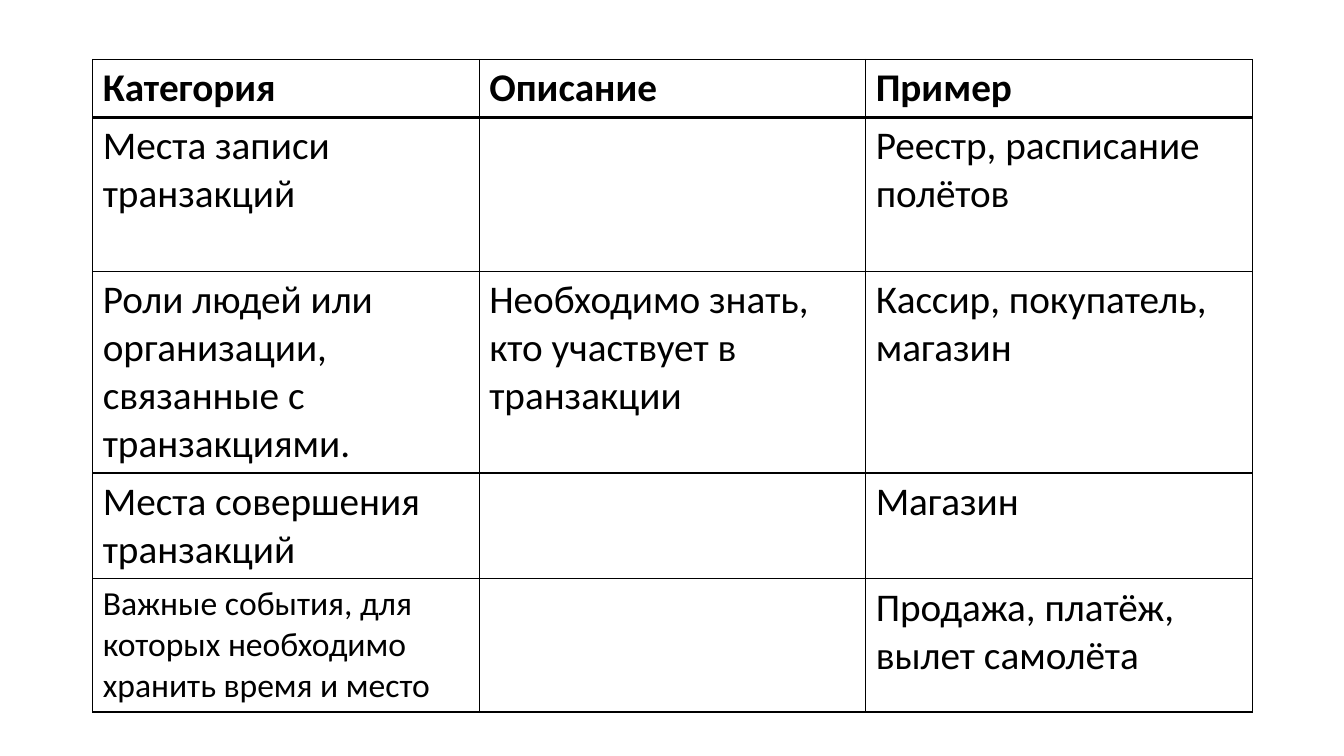
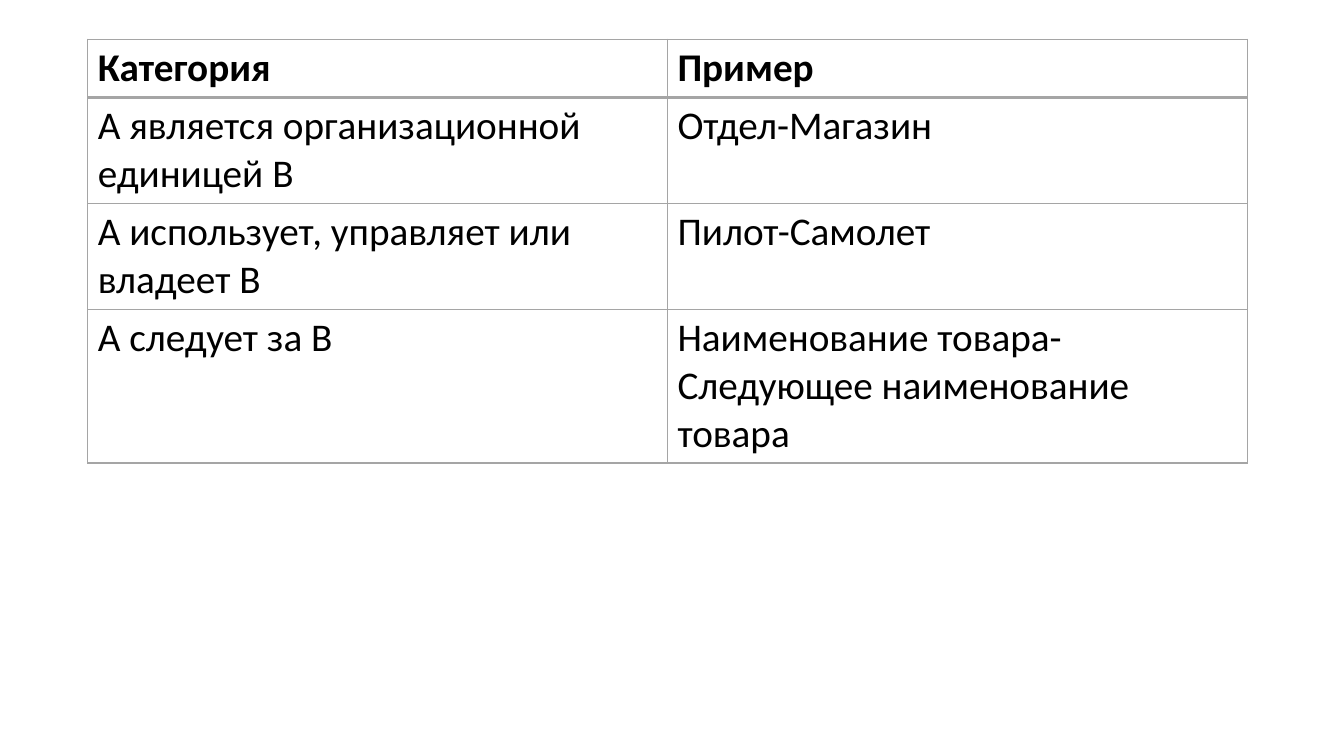
from dataclasses import dataclass

from lxml.etree import SubElement
from pptx import Presentation
from pptx.dml.color import RGBColor as Rgb
from pptx.oxml.ns import qn
from pptx.util import Inches, Pt


@dataclass(frozen=True)
class Theme:
    font: str = "Calibri"
    ink: str = "000000"
    gray: str = "A5A5A5"
    paper: str = "FFFFFF"
    body_size: int = 28
    small_size: int = 24
    thin: int = 1
    thick: int = 2


THEME = Theme()
SLIDE_WIDTH, SLIDE_HEIGHT = 13.33, 7.5
TABLE_WIDTH = 11.5
LINE_HEIGHT, ROW_PADDING = 0.475, 0.1

# Content: each row is (height in text lines, cells); a cell may hold several paragraphs
TABLES = [
    {
        "at": (0.92, 0.59),
        "border": THEME.ink,
        "rows": [
            (1, ["Категория", "Описание", "Пример"]),
            (3, ["Места записи транзакций", "", "Реестр, расписание полётов"]),
            (4, ["Роли людей или организации, связанные с транзакциями.",
                 "Необходимо знать, кто участвует в транзакции",
                 "Кассир, покупатель, магазин"]),
            (2, ["Места совершения транзакций", "", "Магазин"]),
            (2.57, ["Важные события, для которых необходимо хранить время и место",
                    "", "Продажа, платёж, вылет самолёта"]),
        ],
        "small_cells": {(4, 0)},
    },
    {
        "at": (0.87, 0.39),
        "border": THEME.gray,
        "rows": [
            (1, ["Категория", "Пример"]),
            (2, ["А является организационной единицей В", "Отдел-Магазин"]),
            (2, ["А использует, управляет или владеет В", "Пилот-Самолет"]),
            (3, ["А следует за В",
                 "Наименование товара-\nСледующее наименование товара"]),
        ],
        "small_cells": set(),
    },
]


def set_borders(cell, color, row_index):
    """Draw thin borders, with a thick rule under the header row."""
    thick_side = {0: "B", 1: "T"}.get(row_index)
    properties = cell._tc.get_or_add_tcPr()
    for side in "LRTB":
        width = THEME.thick if side == thick_side else THEME.thin
        line = SubElement(properties, qn(f"a:ln{side}"), w=str(Pt(width)))
        fill = SubElement(line, qn("a:solidFill"))
        SubElement(fill, qn("a:srgbClr"), val=color)


def write_cell(cell, text, size, bold):
    for index, part in enumerate(text.split("\n")):
        frame = cell.text_frame
        paragraph = frame.add_paragraph() if index else frame.paragraphs[0]
        paragraph.font.size = Pt(size)
        if part:
            run = paragraph.add_run()
            run.text = part
            run.font.name = THEME.font
            run.font.size = Pt(size)
            run.font.bold = bold
            run.font.color.rgb = Rgb.from_string(THEME.ink)


def add_grid(slide, content):
    rows = content["rows"]
    column_count = len(rows[0][1])
    heights = [lines * LINE_HEIGHT + ROW_PADDING for lines, _ in rows]
    left, top = content["at"]
    table = slide.shapes.add_table(
        len(rows), column_count, Inches(left), Inches(top),
        Inches(TABLE_WIDTH), Inches(sum(heights))).table
    table.first_row = table.horz_banding = False

    for row_index, (_, texts) in enumerate(rows):
        table.rows[row_index].height = Inches(heights[row_index])
        for column_index, text in enumerate(texts):
            cell = table.cell(row_index, column_index)
            set_borders(cell, content["border"], row_index)
            cell.fill.solid()
            cell.fill.fore_color.rgb = Rgb.from_string(THEME.paper)
            small = (row_index, column_index) in content["small_cells"]
            size = THEME.small_size if small else THEME.body_size
            write_cell(cell, text, size, bold=row_index == 0)


def main():
    presentation = Presentation()
    presentation.slide_width = Inches(SLIDE_WIDTH)
    presentation.slide_height = Inches(SLIDE_HEIGHT)
    blank = presentation.slide_layouts[6]
    for content in TABLES:
        add_grid(presentation.slides.add_slide(blank), content)
    presentation.save("out.pptx")


if __name__ == "__main__":
    main()
